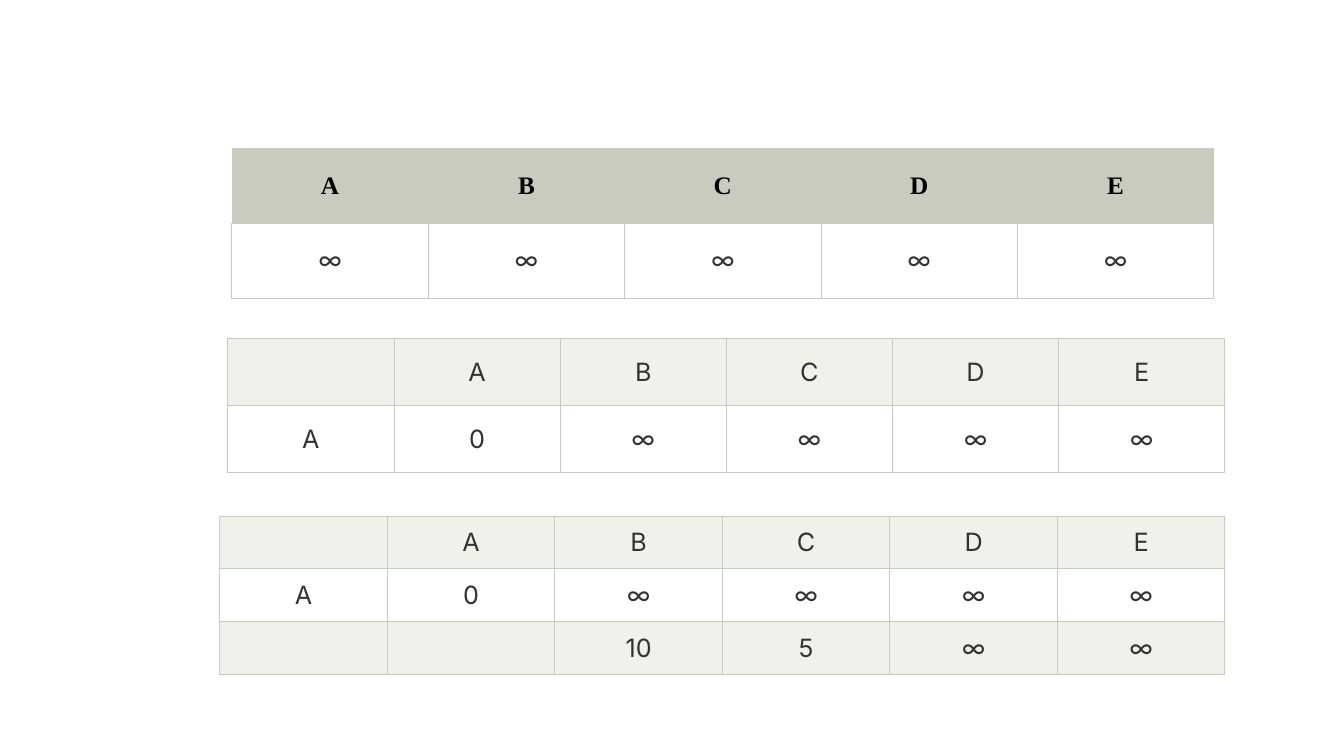
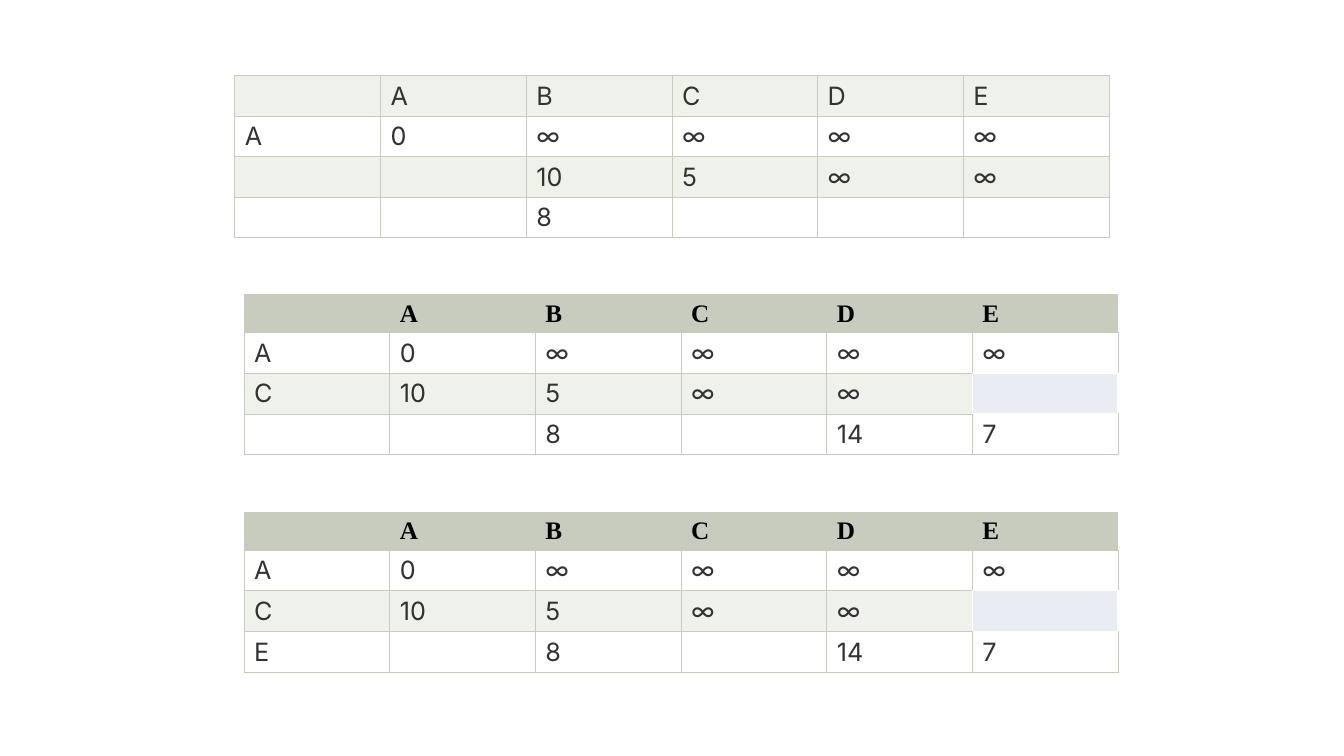
from lxml import etree
from pptx import Presentation
from pptx import util as u
from pptx.dml.color import RGBColor
from pptx.enum import text
from pptx.oxml.ns import qn

SAGE = RGBColor(0xC7, 0xCC, 0xBE)
PALE = RGBColor(0xEF, 0xF1, 0xEB)
WHITE = RGBColor(0xFF, 0xFF, 0xFF)
BLACK = RGBColor(0, 0, 0)
INK = RGBColor(0x33, 0x33, 0x33)
SIZE = u.Pt(18)
LEFT, MID = text.PP_ALIGN.LEFT, text.PP_ALIGN.CENTER

# Table rows, with cells parted by "|"
NODES = "A|B|C|D|E"
HEAD = "|" + NODES
START = "A|0|∞|∞|∞|∞"
NEXT = "|10|5|∞|∞"
LAST = "|8||14|7"


def border(cell, sides):
    """Draw the named sides (of "LRTB") and clear the others."""
    props = cell._tc.get_or_add_tcPr()
    for side in "LRTB":
        line = etree.SubElement(props, qn("a:ln" + side), w=str(u.Pt(0.75)))
        if side in sides:
            fill = etree.SubElement(line, qn("a:solidFill"))
            etree.SubElement(fill, qn("a:srgbClr"), val=str(SAGE))
        else:
            etree.SubElement(line, qn("a:noFill"))


def write(cell, word, align, head):
    cell.vertical_anchor = text.MSO_ANCHOR.MIDDLE
    para = cell.text_frame.paragraphs[0]
    para.alignment = align
    if not word:
        # Keeps an empty cell from stretching its row
        etree.SubElement(para._p, qn("a:endParaRPr"), sz="1400")
        return
    run = para.add_run()
    run.text = word
    font = run.font
    font.size, font.bold = SIZE, head
    font.name = "Times New Roman" if head else "Inter"
    font.color.rgb = BLACK if head else INK


def grid(slide, box, rows, align, strong=False, top=None):
    """Fill box with equal columns and rows; top is the first row's height."""
    x, y, w, h = (u.Inches(n) for n in box)
    data = [row.split("|") for row in rows]
    count, wide = len(data), len(data[0])
    table = slide.shapes.add_table(count, wide, x, y, w, h).table
    table.first_row = table.horz_banding = False
    for col in table.columns:
        col.width = w // wide
    first = u.Inches(top) if top else h // count
    for i, words in enumerate(data):
        table.rows[i].height = (h - first) // (count - 1) if i else first
        head = strong and i == 0
        shade = SAGE if head else WHITE if i % 2 else PALE
        for j, word in enumerate(words):
            cell = table.cell(i, j)
            border(cell, "B" if head else "LRTB")
            cell.fill.solid()
            cell.fill.fore_color.rgb = shade
            write(cell, word, align, head)


def setup(slide):
    """Show the starting distances and the first two steps."""
    grid(slide, (2.3, 1.47, 9.74, 1.49), [NODES, "∞|∞|∞|∞|∞"], MID, True)
    grid(slide, (2.26, 3.36, 9.89, 1.33), [HEAD, START], MID)
    grid(slide, (2.18, 5.12, 9.97, 1.57), [HEAD, START, "|" + NEXT], MID)


def steps(slide):
    """Show the later steps, down to the last chosen node."""
    grid(slide, (2.33, 0.75, 8.67, 1.6),
         [HEAD, START, "|" + NEXT, "||8|||"], LEFT)
    for y, node in ((2.92, ""), (5.08, "E")):
        grid(slide, (2.42, y, 8.67, 1.58),
             [HEAD, START, "C" + NEXT, node + "|" + LAST], LEFT, True, 0.38)


def main():
    deck = Presentation()
    deck.slide_width, deck.slide_height = u.Inches(13.33), u.Inches(7.5)
    for fill in (setup, steps):
        slide = deck.slides.add_slide(deck.slide_layouts[6])
        slide.background.fill.solid()
        slide.background.fill.fore_color.rgb = WHITE
        fill(slide)
    deck.save("out.pptx")


if __name__ == "__main__":
    main()
